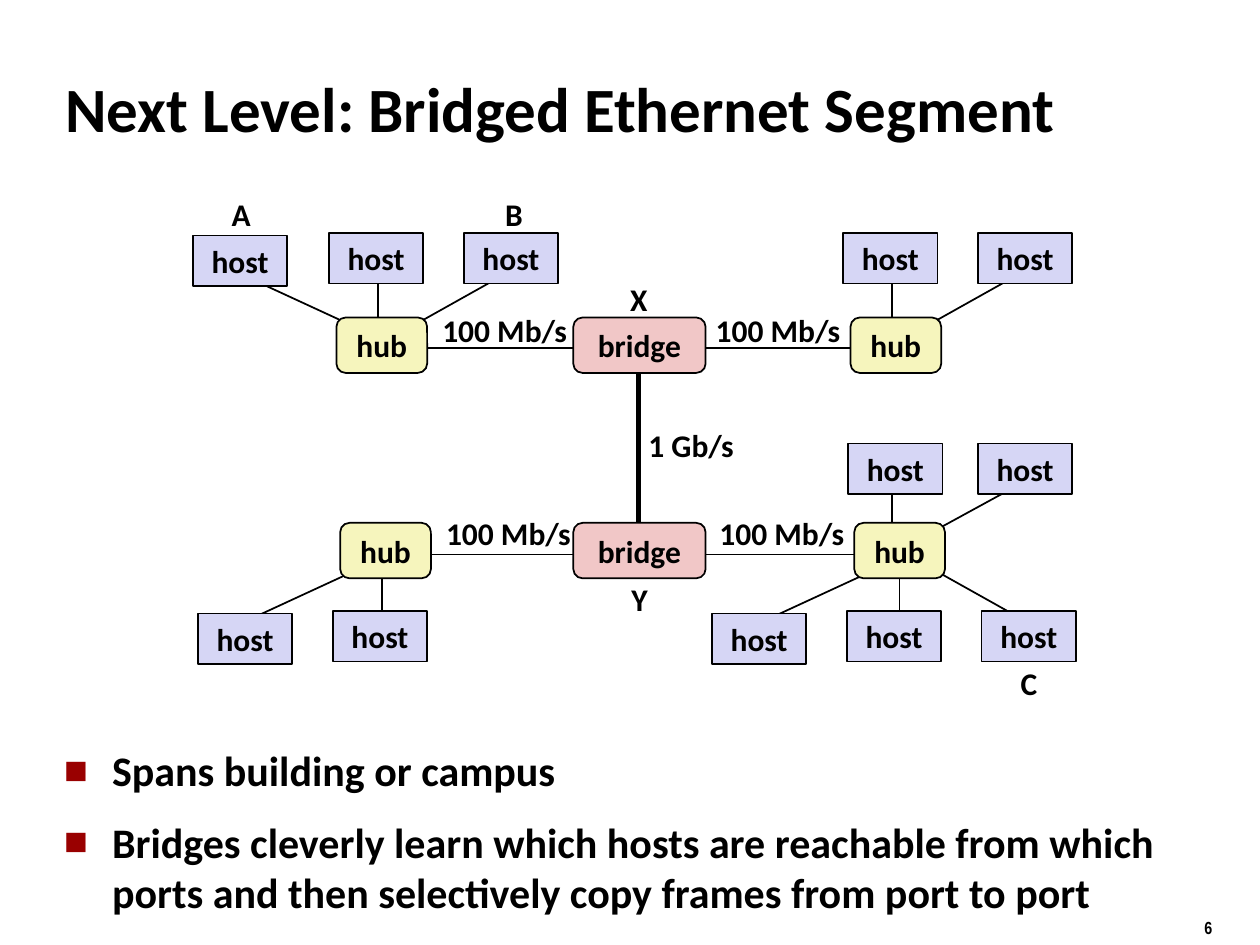
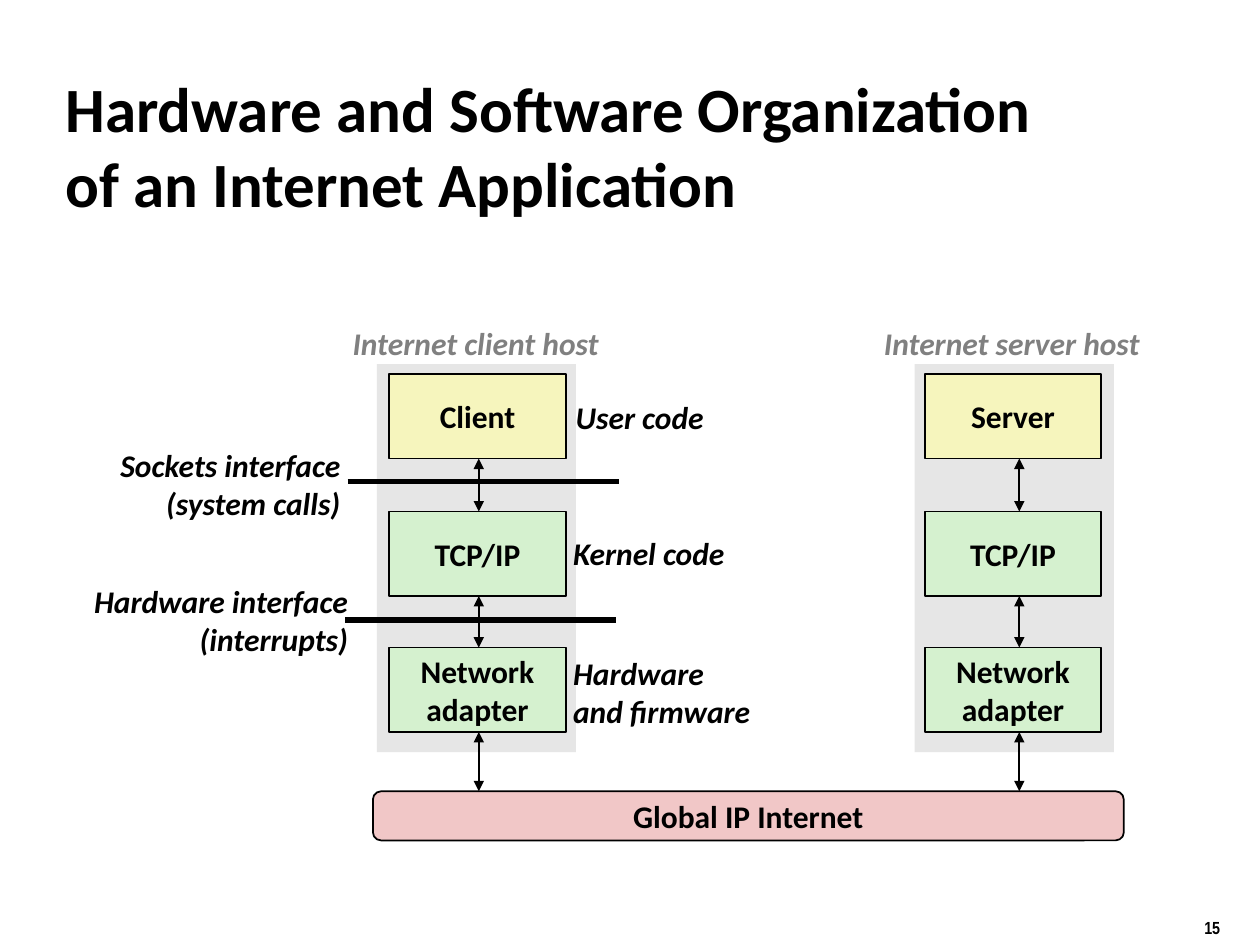
from dataclasses import dataclass

from lxml.etree import SubElement
from pptx import Presentation
from pptx.dml.color import RGBColor
from pptx.enum.shapes import MSO_CONNECTOR, MSO_SHAPE
from pptx.enum.text import MSO_ANCHOR, MSO_AUTO_SIZE, PP_ALIGN
from pptx.oxml.ns import qn
from pptx.util import Pt

PX = 9144  # EMU in one px, 100 px to the inch


@dataclass(frozen=True)
class Theme:
    ink: str = "000000"
    muted: str = "808080"
    bullet: str = "990000"
    blue: str = "D6D6F5"
    yellow: str = "F6F5BD"
    red: str = "F1C7C7"
    green: str = "D5F1CF"
    panel: str = "E6E6E6"
    font: str = "Calibri"
    number_font: str = "Arial Narrow"
    title_size: int = 36
    body_size: int = 24
    label_size: int = 18
    number_size: int = 10
    thin: int = 1
    thick: int = 3


theme = Theme()
RECT, ROUNDED = MSO_SHAPE.RECTANGLE, MSO_SHAPE.ROUNDED_RECTANGLE


def add_text(page, text, at, holder=None, kind=None, fill=None, outline=True,
             font=theme.font, size=theme.label_size, color=theme.ink, italic=False,
             align=PP_ALIGN.CENTER, anchor=MSO_ANCHOR.MIDDLE):
    """Write text in a placeholder, a preset shape or, with neither, a text box."""
    left, top, width, height = (value * PX for value in at)
    if holder is not None:
        box = holder
        box.left, box.top, box.width, box.height = left, top, width, height
    elif kind is not None:
        box = page.shapes.add_shape(kind, left, top, width, height)
        box.shadow.inherit = False
        box.fill.solid()
        box.fill.fore_color.rgb = RGBColor.from_string(fill)
        if outline:
            box.line.color.rgb = RGBColor.from_string(theme.ink)
            box.line.width = Pt(theme.thin)
        else:
            box.line.fill.background()
    else:
        box = page.shapes.add_textbox(left, top, width, height)

    frame = box.text_frame
    frame.word_wrap = True
    frame.auto_size = MSO_AUTO_SIZE.NONE
    frame.vertical_anchor = anchor
    frame.text = text
    for para in frame.paragraphs:
        para.alignment = align
        for span in para.runs:
            span.font.name = font
            span.font.size = Pt(size)
            span.font.bold = True
            span.font.italic = italic
            span.font.color.rgb = RGBColor.from_string(color)
    return box


def add_link(page, start, end, width=theme.thin, arrows=False):
    points = [value * PX for value in (*start, *end)]
    link = page.shapes.add_connector(MSO_CONNECTOR.STRAIGHT, *points)
    link.line.color.rgb = RGBColor.from_string(theme.ink)
    link.line.width = Pt(width)
    properties = link._element.spPr
    if arrows:
        for tip in ("a:headEnd", "a:tailEnd"):
            SubElement(properties.find(qn("a:ln")), qn(tip), type="triangle")
    SubElement(properties, qn("a:effectLst"))


deck = Presentation()
deck.slide_width, deck.slide_height = 1000 * PX, 750 * PX
title_style = deck.slide_master.element.find(f".//{qn('p:titleStyle')}//{qn('a:defRPr')}")
title_style.set("sz", str(theme.title_size * 100))

# Titles and page numbers
pages = []
for layout, title, title_at, number in (
    (1, "Next Level: Bridged Ethernet Segment", (42, 54, 899, 63), "6"),
    (5, "Hardware and Software Organization \vof an Internet Application",
     (42, 55, 889, 120), "15"),
):
    page = deck.slides.add_slide(deck.slide_layouts[layout])
    add_text(page, title, title_at, holder=page.shapes.title,
             size=theme.title_size, align=PP_ALIGN.LEFT)
    add_text(page, number, (946, 723, 50, 26), font=theme.number_font,
             size=theme.number_size, align=PP_ALIGN.LEFT, anchor=MSO_ANCHOR.TOP)
    pages.append(page)
bridged, application = pages

# Bridged Ethernet: bullets
body = add_text(
    bridged,
    "Spans building or campus\n"
    "Bridges cleverly learn which hosts are reachable from which "
    "ports and then selectively copy frames from port to port",
    (41, 592, 908, 91), holder=bridged.placeholders[1],
    size=theme.body_size, align=PP_ALIGN.LEFT, anchor=MSO_ANCHOR.TOP)
for para, spacing, before in zip(body.text_frame.paragraphs, (0.85, 1.0), (0, 12)):
    para.line_spacing = spacing
    para.space_before = Pt(before)
    settings = para._p.get_or_add_pPr()
    settings.set("marL", str(38 * PX))
    settings.set("indent", str(-38 * PX))
    bullet_color = SubElement(settings, qn("a:buClr"))
    SubElement(bullet_color, qn("a:srgbClr"), val=theme.bullet)
    SubElement(settings, qn("a:buSzPct"), val="60000")
    SubElement(settings, qn("a:buFont"), typeface=theme.font)
    SubElement(settings, qn("a:buChar"), char="■")

# Bridged Ethernet: links first, so that the nodes cover their ends
add_link(bridged, (507, 296), (507, 416), width=theme.thick)
for y, starts in ((276, (330, 547)), (440, (333, 550))):
    for x in starts:
        add_link(bridged, (x, y), (x + 142, y))

# Each fan of hosts: spoke origin, y at hosts, y at hub, host top, host left by slot
SPOKES = {"left": (-75, 16), "middle": (33, 33), "right": (133, 58)}
fans = (
    (267, 218, 260, 185, {"left": 153, "middle": 261, "right": 368}),
    (675, 218, 260, 185, {"middle": 669, "right": 776}),
    (675, 385, 426, 352, {"middle": 673, "right": 776}),
    (270, 493, 451, 485, {"left": 157, "middle": 264}),
    (681, 493, 451, 485, {"left": 565, "middle": 672, "right": 779}),
)
for origin, host_y, hub_y, host_top, hosts in fans:
    for slot, host_left in hosts.items():
        host_x, hub_x = SPOKES[slot]
        add_link(bridged, (origin + host_x, host_y), (origin + hub_x, hub_y))
        drop = 2 if slot == "left" else 0
        add_text(bridged, "host", (host_left, host_top + drop, 75, 40),
                 kind=RECT, fill=theme.blue)

for top, hub_lefts in ((252, (267, 675)), (415, (270, 678))):
    for left in hub_lefts:
        add_text(bridged, "hub", (left, top, 72, 44), kind=ROUNDED, fill=theme.yellow)
    add_text(bridged, "bridge", (455, top, 105, 44), kind=ROUNDED, fill=theme.red)

for label, left, top, width in (
    ("100 Mb/s", 335, 242, 131), ("100 Mb/s", 552, 242, 131),
    ("100 Mb/s", 338, 403, 131), ("100 Mb/s", 555, 403, 131),
    ("1 Gb/s", 500, 333, 97),
    ("A", 173, 150, 37), ("B", 390, 150, 36), ("C", 799, 522, 35),
    ("X", 489, 217, 36), ("Y", 490, 455, 35),
):
    add_text(bridged, label, (left, top, width, 40))

# Internet application: one stack of layers for each host
LAYER_TOPS, LAYER_HEIGHT, INTERNET_TOP = (297, 406, 514), 67, 628
for role, panel_left, layer_left, arrow_x, caption, caption_left, caption_width in (
    ("Client", 299, 309, 380, "Internet client host", 253, 249),
    ("Server", 726, 734, 809, "Internet server host", 675, 256),
):
    add_text(application, "", (panel_left, 289, 158, 308),
             kind=RECT, fill=theme.panel, outline=False)
    layers = ((role, theme.yellow), ("TCP/IP", theme.green), ("Network\nadapter", theme.green))
    below = (*LAYER_TOPS[1:], INTERNET_TOP)
    for (layer, fill), top, next_top in zip(layers, LAYER_TOPS, below):
        add_text(application, layer, (layer_left, top, 140, LAYER_HEIGHT),
                 kind=RECT, fill=fill)
        add_link(application, (arrow_x, top + LAYER_HEIGHT), (arrow_x, next_top), arrows=True)
    add_text(application, caption, (caption_left, 252, caption_width, 40),
             color=theme.muted, italic=True)
add_text(application, "Global IP Internet", (296, INTERNET_TOP, 596, 39),
         kind=ROUNDED, fill=theme.red)

# Internet application: interfaces and notes beside the client
for note, at, align in (
    ("Sockets interface\n(system calls)", (57, 349, 223, 70), PP_ALIGN.RIGHT),
    ("Hardware interface\n(interrupts)", (37, 457, 249, 70), PP_ALIGN.RIGHT),
    ("User code", (447, 311, 135, 40), PP_ALIGN.LEFT),
    ("Kernel code", (445, 419, 158, 40), PP_ALIGN.LEFT),
    ("Hardware\nand firmware", (445, 514, 179, 70), PP_ALIGN.LEFT),
):
    add_text(application, note, at, italic=True, align=align)
for left, y in ((276, 382), (274, 492)):
    add_link(application, (left, y), (left + 215, y), width=theme.thick)

deck.save("out.pptx")
